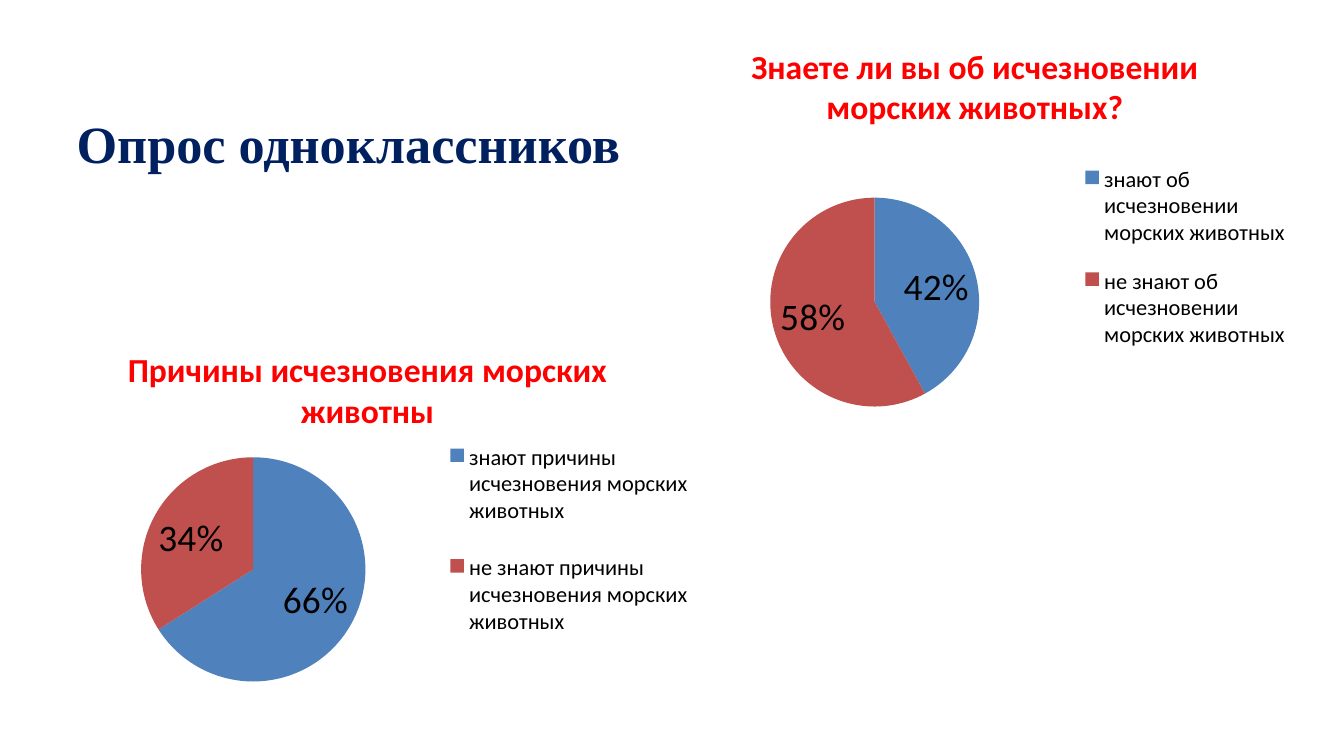
from lxml.etree import SubElement
from pptx import Presentation
from pptx.chart.data import CategoryChartData
from pptx.dml.color import RGBColor
from pptx.enum.chart import XL_CHART_TYPE as ChartType
from pptx.enum.chart import XL_LEGEND_POSITION as LegendPosition
from pptx.oxml.ns import qn
from pptx.util import Pt

NAVY = RGBColor(0x00, 0x20, 0x60)
RED = RGBColor(0xFF, 0x00, 0x00)
BLACK = RGBColor(0x00, 0x00, 0x00)
BLUE = RGBColor(0x4F, 0x81, 0xBD)
BRICK = RGBColor(0xC0, 0x50, 0x4D)

SURVEYS = [
    (
        "Причины исчезновения морских животны",
        ["знают причины исчезновения морских животных",
         "не знают причины исчезновения морских животных"],
        [66, 34],
        (16.9, 174.2, 360, 214.6),
        (0.07, 0.33, 0.52, 0.56),
        (0.61, 0.22, 0.38, 0.63),
    ),
    (
        "Знаете ли вы об исчезновении морских животных?",
        ["знают об исчезновении морских животных",
         "не знают об исчезновении морских животных"],
        [42, 58],
        (343.4, 11.5, 357.8, 219.6),
        (0.19, 0.43, 0.32, 0.51),
        (0.65, 0.3, 0.33, 0.55),
    ),
]


def place(part, position, **target):
    layout = part.find(qn("c:layout"))
    if layout is None:
        layout = SubElement(part, qn("c:layout"))
        legend_position = part.find(qn("c:legendPos"))
        if legend_position is None:
            part.insert(0, layout)
        else:
            legend_position.addnext(layout)
    manual = SubElement(layout, qn("c:manualLayout"))
    settings = {**target, "xMode": "edge", "yMode": "edge", **dict(zip("xywh", position))}
    for tag, value in settings.items():
        SubElement(manual, qn(f"c:{tag}")).set("val", str(value))


presentation = Presentation()
presentation.slide_width = Pt(720)
presentation.slide_height = Pt(405)
slide = presentation.slides.add_slide(presentation.slide_layouts[6])

for question, answers, shares, bounds, pie_position, legend_position in SURVEYS:
    survey = CategoryChartData()
    survey.categories = answers
    survey.add_series("Series 1", shares)
    pie = slide.shapes.add_chart(
        ChartType.PIE, *[Pt(length) for length in bounds], survey
    ).chart
    pie.font.name = "Calibri"
    pie.font.size = Pt(10)
    pie.font.color.rgb = BLACK

    pie.has_title = True
    pie.chart_title.include_in_layout = False
    pie.chart_title.text_frame.text = question
    question_font = pie.chart_title.text_frame.paragraphs[0].runs[0].font
    question_font.size = Pt(18)
    question_font.bold = True
    question_font.color.rgb = RED

    pie.has_legend = True
    pie.legend.position = LegendPosition.RIGHT
    pie.legend.include_in_layout = False
    pie.legend.font.size = Pt(12)

    plot = pie.plots[0]
    plot.vary_by_categories = True
    for index, color in enumerate([BLUE, BRICK]):
        fill = plot.series[0].points[index].format.fill
        fill.solid()
        fill.fore_color.rgb = color

    plot.has_data_labels = True
    labels = plot.data_labels
    labels.show_value = False
    labels.show_percentage = True
    labels.number_format = "0%"
    labels.number_format_is_linked = False
    labels.font.size = Pt(20)

    place(pie.element.chart.plotArea, pie_position, layoutTarget="inner")
    place(pie.element.chart.find(qn("c:legend")), legend_position)

heading = slide.shapes.add_textbox(Pt(34), Pt(56), Pt(315), Pt(41)).text_frame
heading.word_wrap = True
heading.text = "Опрос одноклассников"
heading_font = heading.paragraphs[0].runs[0].font
heading_font.name = "Times New Roman"
heading_font.size = Pt(28)
heading_font.bold = True
heading_font.color.rgb = NAVY

presentation.save("out.pptx")
